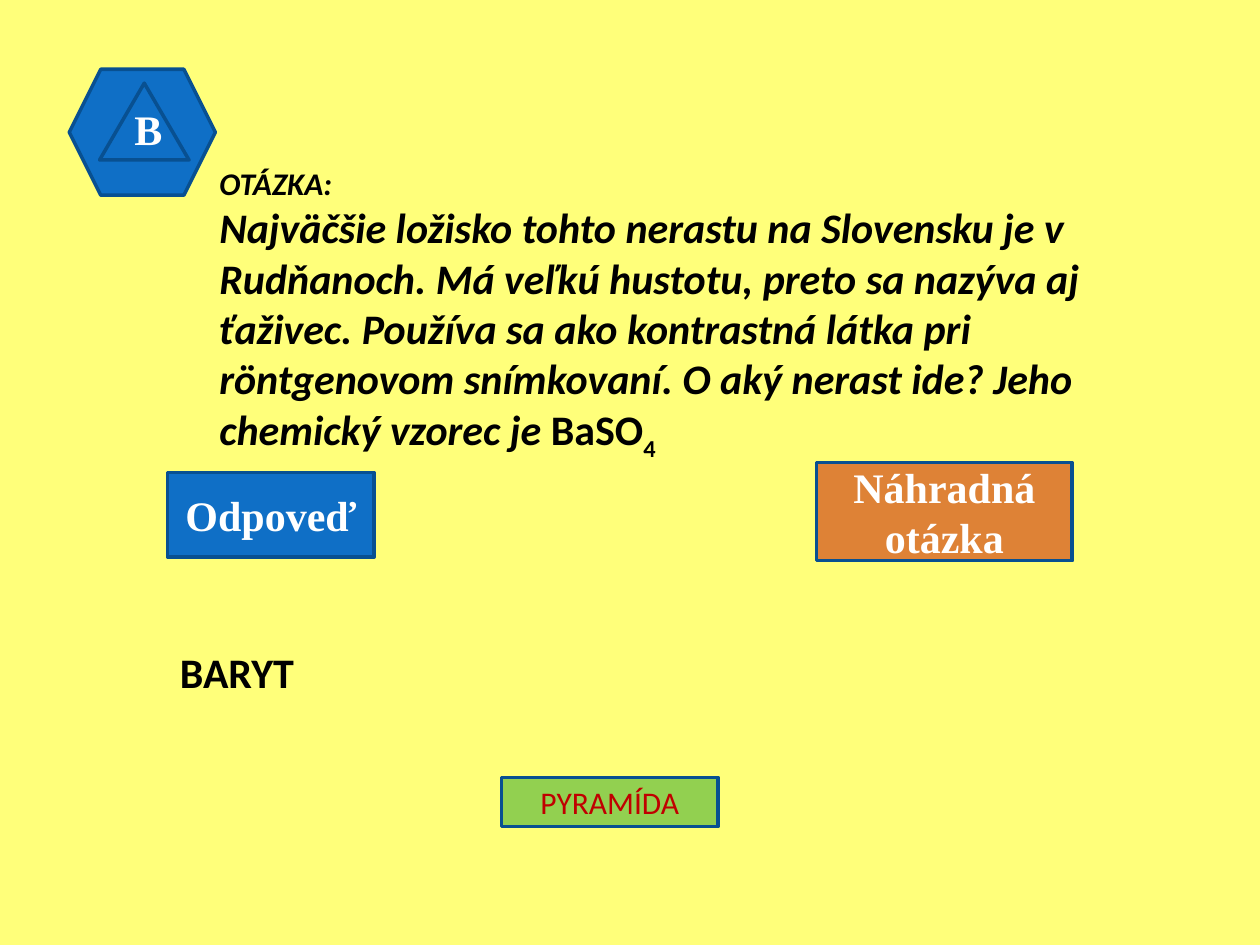
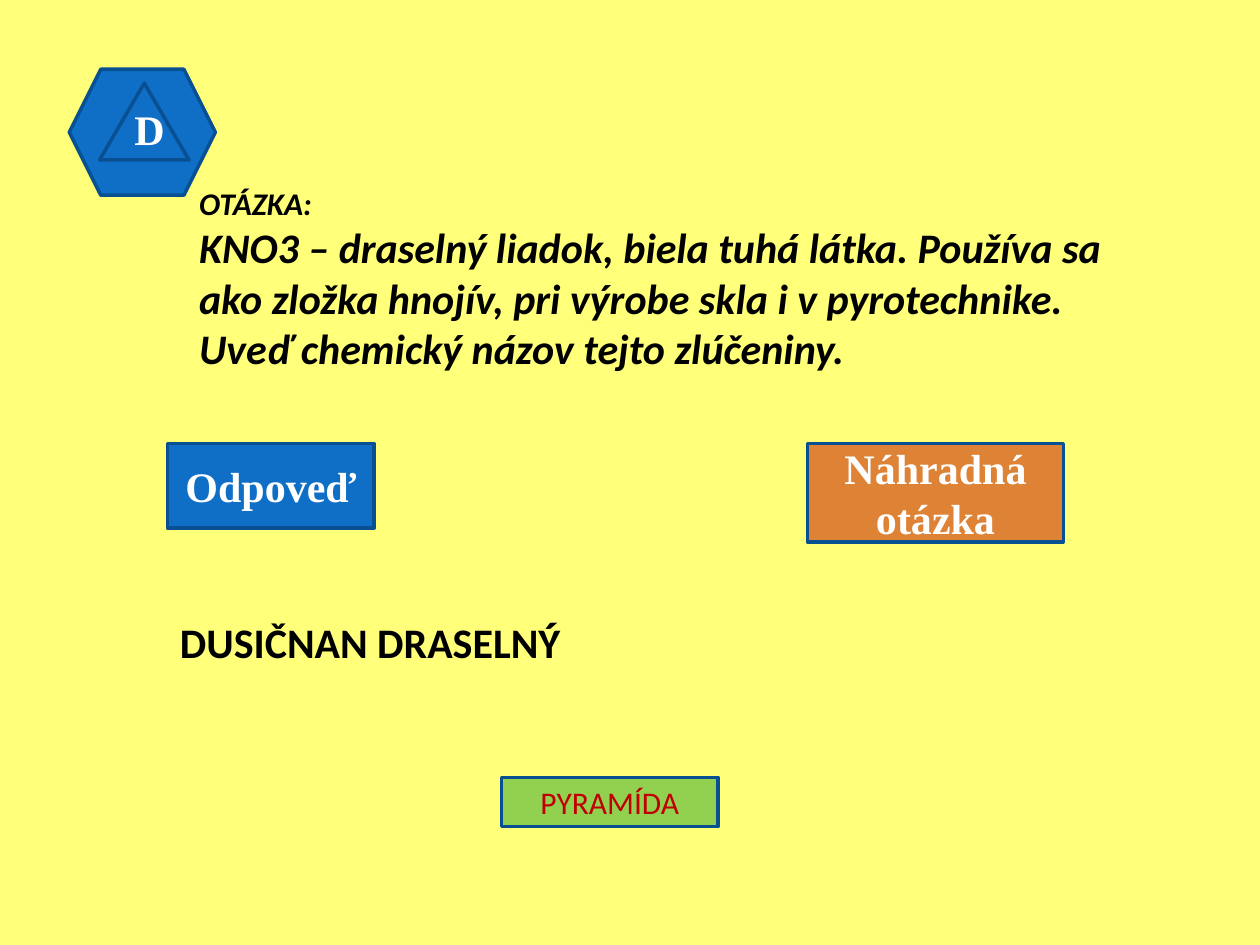
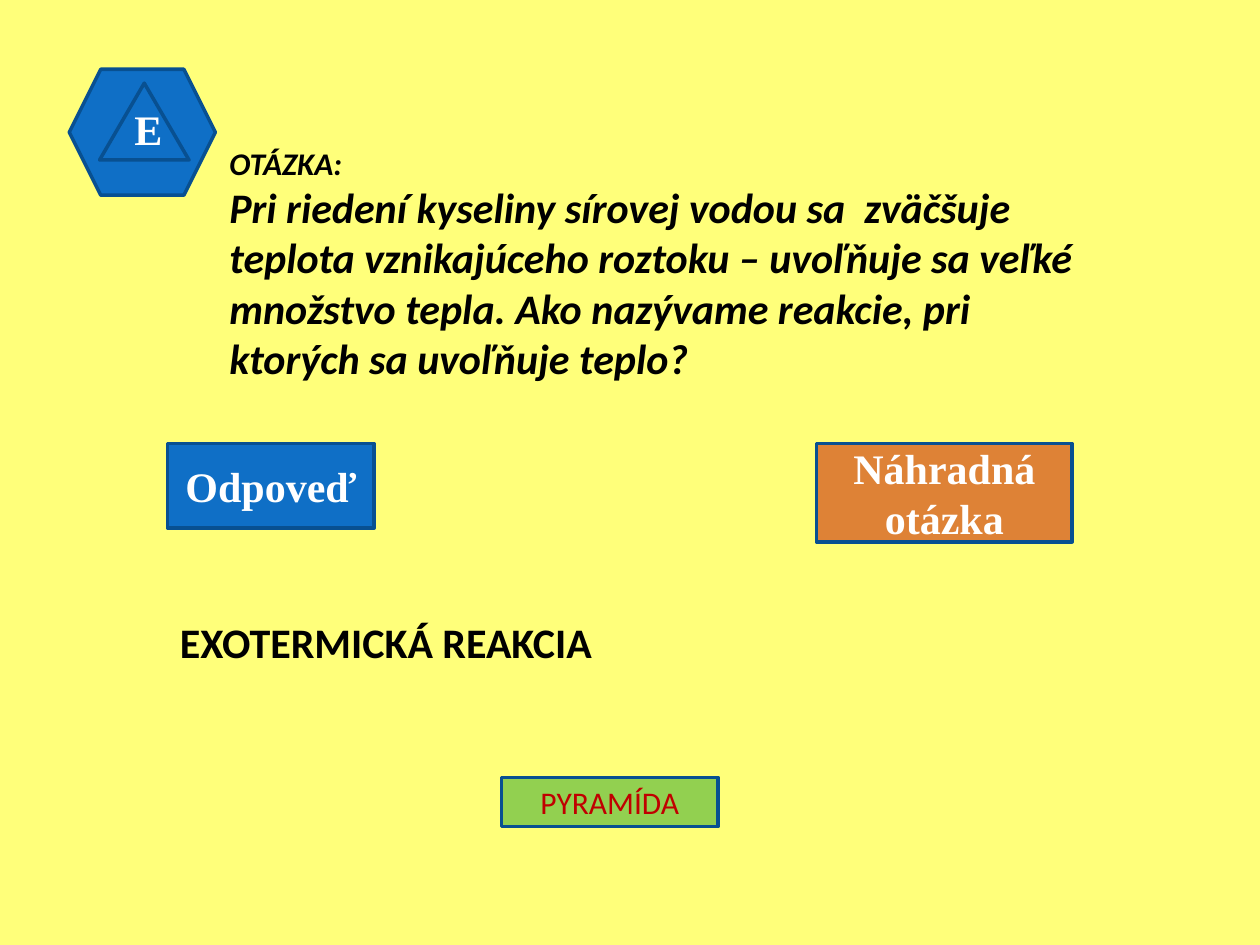
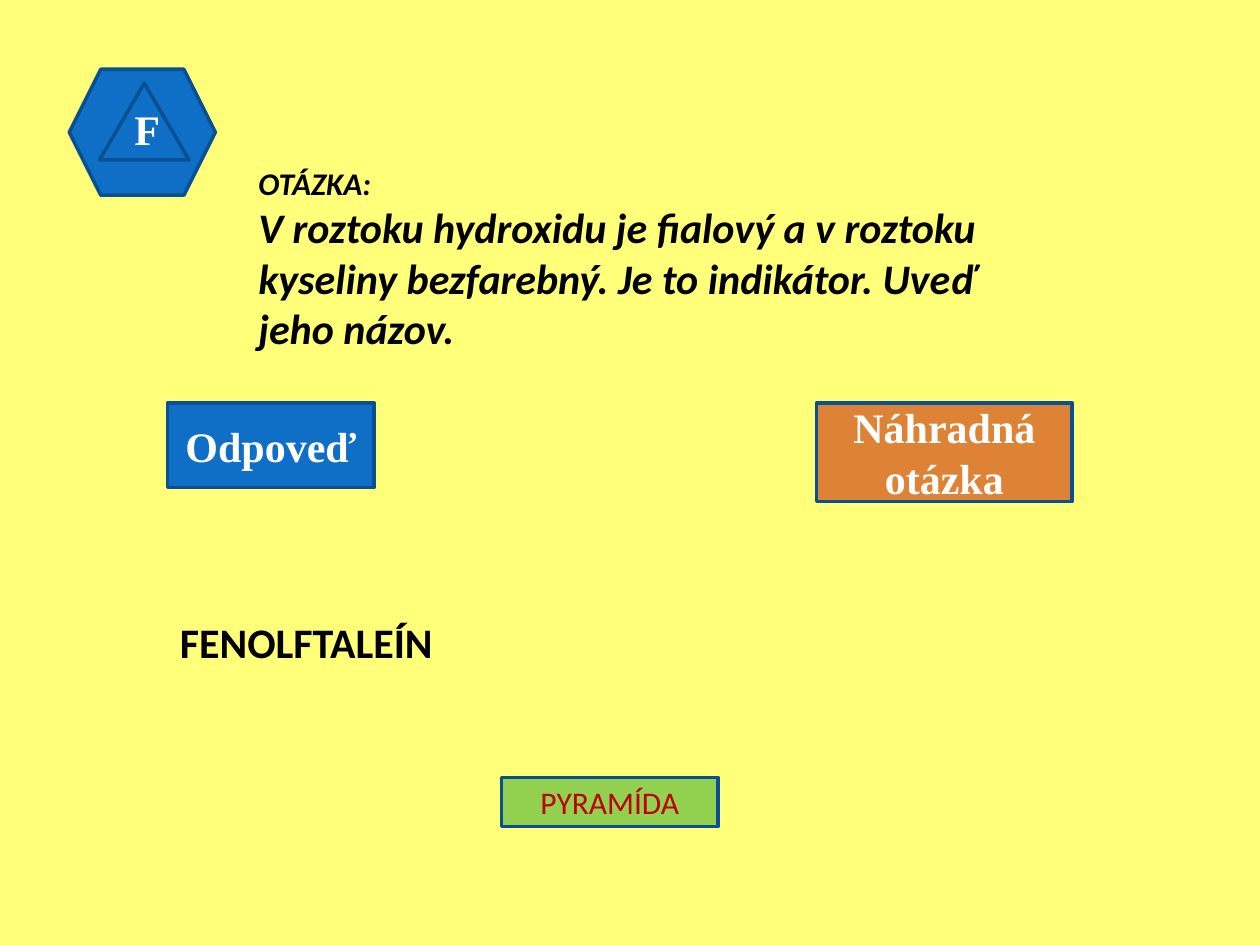
import pptx
import pptx.dml.color
import pptx.enum.shapes
import pptx.enum.text
import pptx.util

COLORS = {
    "background": "FFFF7A",
    "blue": "0F6FC6",
    "outline": "085091",
    "orange": "DE8236",
    "green": "92D050",
    "red": "C00000",
    "white": "FFFFFF",
    "black": "000000",
}
SERIF, SANS = "Times New Roman", "Calibri"
COLUMNS, ROWS = 10, 7.5
TITLE_ONLY = 5
SHAPES = pptx.enum.shapes.MSO_SHAPE
ANCHOR = pptx.enum.text.MSO_ANCHOR
ALIGN = pptx.enum.text.PP_ALIGN

QUESTIONS = [
    {
        "letter": "B",
        "spans": [
            ("Najväčšie ložisko tohto nerastu na Slovensku je v Rudňanoch. "
             "Má veľkú hustotu, preto sa nazýva aj ťaživec. Používa sa ako "
             "kontrastná látka pri röntgenovom snímkovaní. O aký nerast ide? "
             "Jeho chemický vzorec je ", {"italic": True}),
            ("BaSO", {}),
            ("4", {"baseline": -30}),
        ],
        "question_at": (1.64, 1.25, 7.34, 2.87),
        "reply_row": 3.75,
        "spare_at": (6.48, 3.67),
        "answer": "BARYT",
        "answer_at": (1.33, 5.08, 1.64, 0.5),
    },
    {
        "letter": "D",
        "spans": [
            ("KNO3 – draselný liadok, biela tuhá látka. Používa sa ako zložka "
             "hnojív, pri výrobe skla i v pyrotechnike. Uveď chemický názov "
             "tejto zlúčeniny.", {"italic": True}),
        ],
        "question_at": (1.48, 1.41, 7.42, 2),
        "reply_row": 3.52,
        "spare_at": (6.41, 3.52),
        "answer": "DUSIČNAN DRASELNÝ",
        "answer_at": (1.33, 4.84, 3.67, 0.5),
    },
    {
        "letter": "E",
        "spans": [
            ("Pri riedení kyseliny sírovej vodou sa  zväčšuje teplota "
             "vznikajúceho roztoku – uvoľňuje sa veľké množstvo tepla. Ako "
             "nazývame reakcie, pri ktorých sa uvoľňuje teplo?",
             {"italic": True}),
        ],
        "question_at": (1.72, 1.09, 7.19, 2),
        "reply_row": 3.52,
        "spare_at": (6.48, 3.52),
        "answer": "EXOTERMICKÁ REAKCIA",
        "answer_at": (1.33, 4.84, 4.14, 0.5),
    },
    {
        "letter": "F",
        "spans": [
            ("V roztoku hydroxidu je fialový a v roztoku kyseliny bezfarebný. "
             "Je to indikátor. Uveď jeho názov.", {"italic": True}),
        ],
        "question_at": (1.95, 1.25, 6.41, 1.6),
        "reply_row": 3.2,
        "spare_at": (6.48, 3.2),
        "answer": "FENOLFTALEÍN",
        "answer_at": (1.33, 4.84, 2.97, 0.5),
    },
]


def rgb(name):
    """Return the named palette colour."""
    return pptx.dml.color.RGBColor.from_string(COLORS[name])


class QuizDeck:
    """Hold the quiz style and the current page."""

    def __init__(self):
        """Open a deck with the shared size and background."""
        self.deck = pptx.Presentation()
        self.deck.slide_width = pptx.util.Inches(10)
        self.deck.slide_height = pptx.util.Inches(7.5)
        self.page = None
        fill = self.deck.slide_master.background.fill
        fill.solid()
        fill.fore_color.rgb = rgb("background")

    def add_page(self):
        """Start a new page."""
        layout = self.deck.slide_layouts[TITLE_ONLY]
        self.page = self.deck.slides.add_slide(layout)

    def area(self, left, top, width, height):
        """Convert grid columns and rows to slide lengths."""
        column = self.deck.slide_width / COLUMNS
        row = self.deck.slide_height / ROWS
        return (round(left * column), round(top * row),
                round(width * column), round(height * row))

    def add_span(self, para, text, size=24, face=SANS, color="black",
                 bold=True, italic=False, baseline=0):
        """Add one formatted run to a paragraph."""
        span = para.add_run()
        span.text = text
        font = span.font
        font.size = pptx.util.Pt(size)
        font.name = face
        font.bold = bold
        font.italic = italic
        font.color.rgb = rgb(color)
        if baseline:
            span._r.get_or_add_rPr().set("baseline", str(baseline * 1000))

    def add_figure(self, kind, at, fill):
        """Draw an outlined preset shape."""
        box = self.page.shapes.add_shape(kind, *self.area(*at))
        box.shadow.inherit = False
        box.fill.solid()
        box.fill.fore_color.rgb = rgb(fill)
        box.line.color.rgb = rgb("outline")
        box.line.width = pptx.util.Pt(2)
        return box

    def add_label(self, box, text, anchor=ANCHOR.MIDDLE, **style):
        """Write a centred label in a shape."""
        frame = box.text_frame
        frame.word_wrap = True
        frame.vertical_anchor = anchor
        para = frame.paragraphs[0]
        para.alignment = ALIGN.CENTER
        self.add_span(para, text, **style)

    def add_badge(self, letter):
        """Draw the hexagon with its lettered triangle."""
        self.add_figure(SHAPES.HEXAGON, (0.55, 0.55, 1.16, 1), "blue")
        triangle = self.add_figure(
            SHAPES.ISOSCELES_TRIANGLE, (0.79, 0.66, 0.71, 0.61), "blue")
        self.add_label(triangle, letter, ANCHOR.BOTTOM,
                       face=SERIF, color="white")

    def add_button(self, text, at, fill, **style):
        """Draw a labelled button."""
        box = self.add_figure(SHAPES.FLOWCHART_PROCESS, at, fill)
        self.add_label(box, text, **style)

    def add_question(self, spans, at):
        """Write the question in the title placeholder."""
        box = self.page.shapes.title
        box.left, box.top, box.width, box.height = self.area(*at)
        frame = box.text_frame
        frame.word_wrap = True
        frame.auto_size = pptx.enum.text.MSO_AUTO_SIZE.NONE
        frame.vertical_anchor = ANCHOR.TOP
        heading, body = frame.paragraphs[0], frame.add_paragraph()
        heading.alignment = body.alignment = ALIGN.LEFT
        self.add_span(heading, "OTÁZKA:", size=18, italic=True)
        for text, style in spans:
            self.add_span(body, text, **style)

    def add_answer(self, text, at):
        """Write the answer in a text box."""
        box = self.page.shapes.add_textbox(*self.area(*at))
        box.text_frame.word_wrap = True
        self.add_span(box.text_frame.paragraphs[0], text)


def main():
    """Build the quiz pages and save them."""
    quiz = QuizDeck()
    for item in QUESTIONS:
        quiz.add_page()
        quiz.add_badge(item["letter"])
        quiz.add_question(item["spans"], item["question_at"])
        quiz.add_button("Odpoveď", (1.33, item["reply_row"], 1.64, 0.67),
                        "blue", face=SERIF, color="white")
        quiz.add_button("Náhradná otázka", (*item["spare_at"], 2.03, 0.78),
                        "orange", face=SERIF, color="white")
        quiz.add_button("PYRAMÍDA", (3.98, 6.17, 1.72, 0.39),
                        "green", size=18, color="red", bold=False)
        quiz.add_answer(item["answer"], item["answer_at"])
    quiz.deck.save("out.pptx")


if __name__ == "__main__":
    main()
